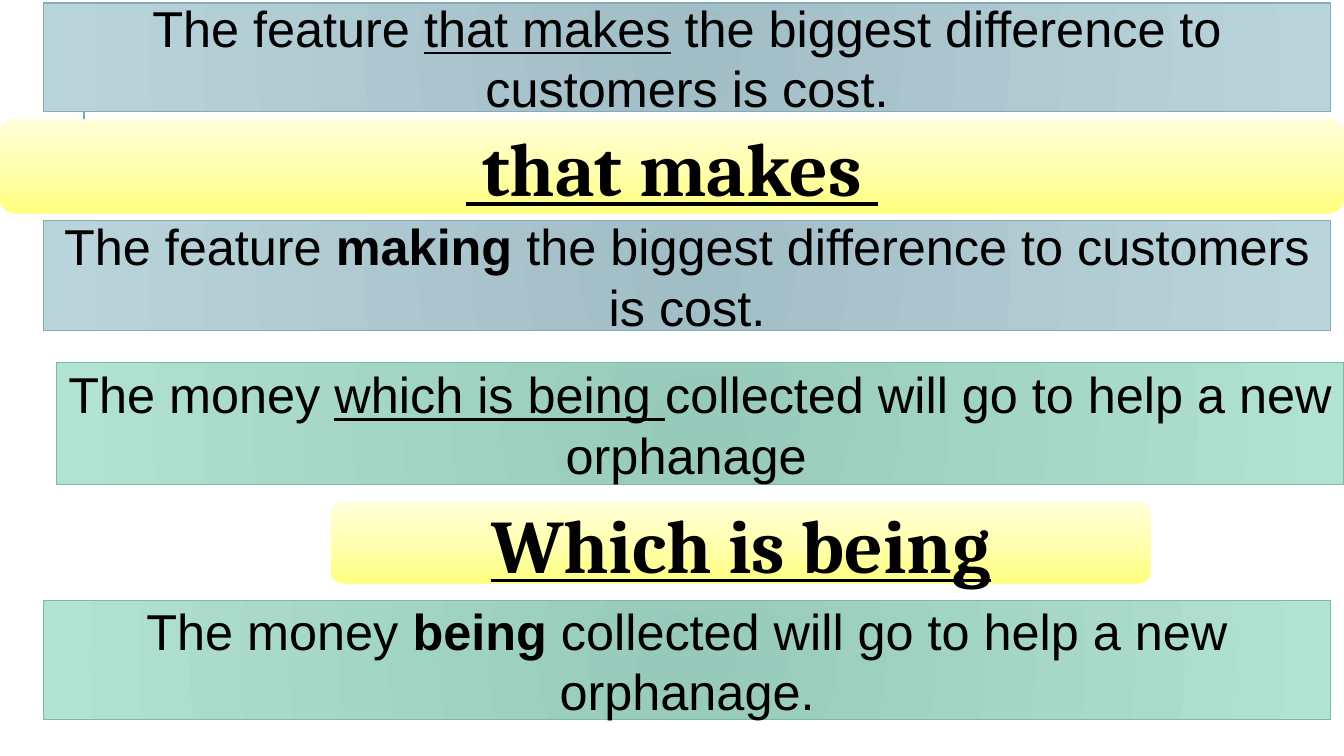
from lxml import etree
from pptx import Presentation
from pptx.dml.color import RGBColor
from pptx.enum import shapes, text
from pptx.oxml import ns
from pptx.util import Inches, Pt

COLORS = {
    "ink": "000000", "rule": "58B6C0",
    "blue_core": "A1BDC5", "blue_rim": "BAD4DB", "blue_line": "84ACB6",
    "green_core": "97CABA", "green_rim": "B2E2D1", "green_line": "75BDA7",
    "yellow": "FFFF7E", "yellow_mid": "FFFFB1", "yellow_pale": "FFFFD9",
}
WIDTH, HEIGHT = 13.33, 7.5
LEFT, BAND_WIDTH = 0.43, 12.77

deck = Presentation()
deck.slide_width, deck.slide_height = Inches(WIDTH), Inches(HEIGHT)
page = deck.slides.add_slide(deck.slide_layouts[6])


def add_panel(kind, place, stops, line=None, radial=False):
    """Add a centred text panel with a radial or upward gradient."""
    panel = page.shapes.add_shape(kind, *map(Inches, place))
    panel.shadow.inherit = False
    panel.fill.gradient()
    gradient = panel._element.spPr.find(ns.qn("a:gradFill"))
    for child in list(gradient):
        gradient.remove(child)
    stop_list = etree.SubElement(gradient, ns.qn("a:gsLst"))
    for index, name in enumerate(stops):
        position = 100000 * index // (len(stops) - 1)
        stop = etree.SubElement(stop_list, ns.qn("a:gs"), pos=str(position))
        etree.SubElement(stop, ns.qn("a:srgbClr"), val=COLORS[name])
    if radial:
        path = etree.SubElement(gradient, ns.qn("a:path"), path="circle")
        sides = dict.fromkeys("ltrb", "50000")
        etree.SubElement(path, ns.qn("a:fillToRect"), **sides)
    else:
        etree.SubElement(gradient, ns.qn("a:lin"), ang="16200000", scaled="0")
    if line:
        panel.line.color.rgb = RGBColor.from_string(COLORS[line])
        panel.line.width = Pt(0.75)
    else:
        panel.line.fill.background()
    panel.text_frame.word_wrap = True
    panel.text_frame.vertical_anchor = text.MSO_ANCHOR.MIDDLE
    panel.text_frame.paragraphs[0].alignment = text.PP_ALIGN.CENTER
    return panel


def add_span(box, words, size=36, font="Arial", bold=False, underline=False):
    """Append a formatted run to the box's first paragraph."""
    span = box.text_frame.paragraphs[0].add_run()
    span.text = words
    span.font.size, span.font.name = Pt(size), font
    span.font.bold, span.font.underline = bold, underline
    span.font.color.rgb = RGBColor.from_string(COLORS["ink"])


# Vertical rule behind the panels
rule = page.shapes.add_connector(
    shapes.MSO_CONNECTOR.STRAIGHT,
    Inches(0.83), Inches(1.9), Inches(0.83), Inches(0.9))
rule.line.color.rgb = RGBColor.from_string(COLORS["rule"])
rule.line.width = Pt(1.5)
etree.SubElement(rule._element.spPr, ns.qn("a:effectLst"))

# Example sentences: full clause underlined, reduced clause bold
UNDERLINED, BOLD = {"underline": True}, {"bold": True}
cost = " the biggest difference to customers is cost."
sentences = [
    ("blue", LEFT, 0.03, 1.08, "The feature ", "that makes", UNDERLINED, cost),
    ("blue", LEFT, 2.19, 1.09, "The feature ", "making", BOLD, cost),
    ("green", WIDTH - BAND_WIDTH, 3.6, 1.21, "The money ", "which is being ",
     UNDERLINED, "collected will go to help a new orphanage  "),
    ("green", LEFT, 5.96, 1.18, "The money ", "being",
     BOLD, " collected will go to help a new orphanage."),
]
for hue, left, top, height, opening, clause, emphasis, ending in sentences:
    band = add_panel(
        shapes.MSO_SHAPE.RECTANGLE, (left, top, BAND_WIDTH, height),
        (f"{hue}_core", f"{hue}_rim"), line=f"{hue}_line", radial=True)
    add_span(band, opening)
    add_span(band, clause, **emphasis)
    add_span(band, ending)

# Yellow labels naming the clause to reduce
labels = [
    (" that makes ", (0, 1.18, WIDTH, 0.94)),
    ("Which is being", (3.28, 4.98, 8.14, 0.81)),
]
for words, place in labels:
    label = add_panel(shapes.MSO_SHAPE.ROUNDED_RECTANGLE, place,
                      ("yellow", "yellow_mid", "yellow_pale"))
    add_span(label, words, size=54, font="Cambria", bold=True, underline=True)

deck.save("out.pptx")
